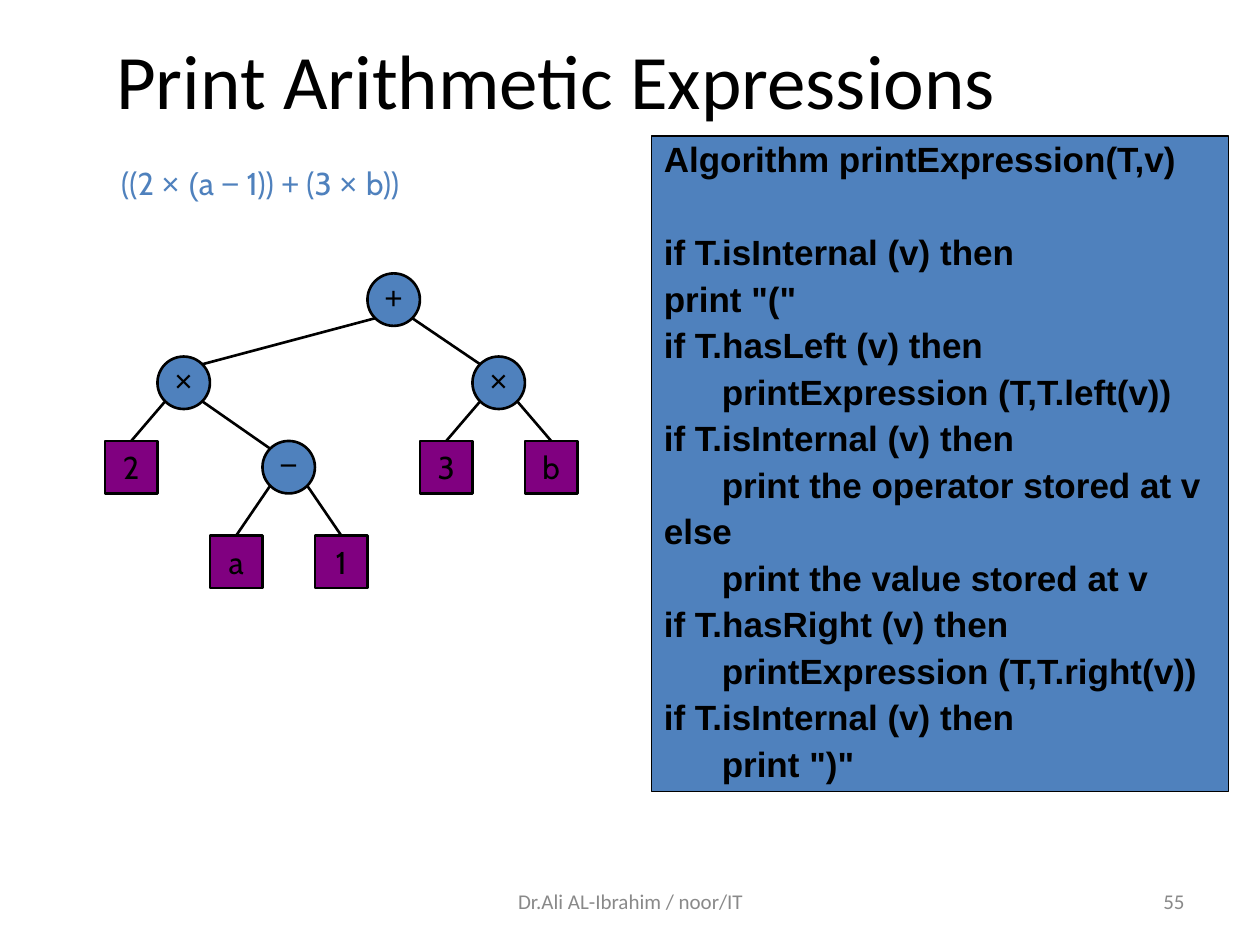
from math import sqrt

from lxml.etree import SubElement
from pptx import Presentation
from pptx.dml.color import RGBColor
from pptx.enum.shapes import MSO_CONNECTOR as Connector, MSO_SHAPE as Shape
from pptx.enum.text import MSO_ANCHOR as Anchor, PP_ALIGN as Align
from pptx.oxml.ns import qn
from pptx.util import Inches, Pt

COLORS = {"black": "000000", "blue": "4F81BD", "purple": "800080", "gray": "898989"}

NODE = 5 / 12  # node size, also the column width of the tree
ROW_TOPS = [2.17, 2.83, 3.5, 4.25]
# key: (symbol, column, row, parent key)
TREE = {
    "root": ("+", 7, 0, None),
    "right": ("×", 9, 1, "root"),
    "left": ("×", 3, 1, "root"),
    "minus": ("−", 5, 2, "left"),
    "two": ("2", 2, 2, "left"),
    "a": ("a", 4, 3, "minus"),
    "one": ("1", 6, 3, "minus"),
    "three": ("3", 8, 2, "right"),
    "b": ("b", 10, 2, "right"),
}
OPERATORS = "+×−"

FORMULA = ["((2 ", "× (", "a ", "−", " 1)) ", "+", " (3 ", "× ", "b))"]

# (indent level, text)
ALGORITHM = [
    (0, "Algorithm printExpression(T,v)"),
    (0, "if T.isInternal (v) then"),
    (0, 'print "("'),
    (0, "if T.hasLeft (v) then"),
    (1, "printExpression (T,T.left(v))"),
    (0, "if T.isInternal (v) then"),
    (1, "print the operator stored at v"),
    (0, "else"),
    (1, "print the value stored at v"),
    (0, "if T.hasRight (v) then"),
    (1, "printExpression (T,T.right(v))"),
    (0, "if T.isInternal (v) then"),
    (1, 'print ")"'),
]


def color(name):
    return RGBColor.from_string(COLORS[name])


def add_span(para, text, font="Calibri", size=18, ink="black", bold=False):
    span = para.add_run()
    span.text = text
    span.font.name = font
    span.font.size = Pt(size)
    span.font.bold = bold
    span.font.color.rgb = color(ink)


class TreePage:
    """Holds the line style and the slide being drawn."""

    line_width = 1.5

    def __init__(self, deck):
        self.page = deck.slides.add_slide(deck.slide_layouts[5])

    def title(self, text):
        box = self.page.shapes.title
        box.left, box.top, box.width, box.height = map(Inches, (0, 0, 8.83, 1.25))
        box.text_frame.vertical_anchor = Anchor.MIDDLE
        para = box.text_frame.paragraphs[0]
        para.alignment = Align.CENTER
        add_span(para, text, size=44)

    def text(self, spans, place, align=Align.CENTER, wrap=True, anchor=Anchor.MIDDLE):
        """Add a one-line text box from (text, format) pairs."""
        frame = self.page.shapes.add_textbox(*map(Inches, place)).text_frame
        frame.word_wrap = wrap
        frame.vertical_anchor = anchor
        para = frame.paragraphs[0]
        para.alignment = align
        for text, style in spans:
            add_span(para, text, **style)

    def shape(self, kind, place, fill, line_width):
        shape = self.page.shapes.add_shape(kind, *map(Inches, place))
        shape.shadow.inherit = False
        shape.fill.solid()
        shape.fill.fore_color.rgb = color(fill)
        shape.line.color.rgb = color("black")
        shape.line.width = Pt(line_width)
        return shape

    def node(self, symbol, left, top):
        is_operator = symbol in OPERATORS
        kind, fill, font = ((Shape.OVAL, "blue", "Arial") if is_operator
                            else (Shape.RECTANGLE, "purple", "Cabin"))
        shape = self.shape(kind, (left, top, NODE, NODE), fill, self.line_width)
        frame = shape.text_frame
        frame.word_wrap = False
        frame.vertical_anchor = Anchor.MIDDLE
        if is_operator:
            frame.margin_left = frame.margin_right = frame.margin_top = 0
        para = frame.paragraphs[0]
        para.alignment = Align.CENTER
        add_span(para, symbol, font=font)

    def edge(self, start, end):
        line = self.page.shapes.add_connector(
            Connector.STRAIGHT, *map(Inches, (*start, *end)))
        line.line.color.rgb = color("black")
        line.line.width = Pt(self.line_width)
        SubElement(line._element.spPr, qn("a:effectLst"))

    def tree(self, nodes):
        for symbol, column, row, _ in nodes.values():
            self.node(symbol, column * NODE, ROW_TOPS[row])
        half = NODE / 2
        rim = half / sqrt(2)  # offset of a circle's diagonal point
        for symbol, column, row, parent in nodes.values():
            if parent is None:
                continue
            _, parent_column, parent_row, _ = nodes[parent]
            side = 1 if column > parent_column else -1
            start = (parent_column * NODE + half + side * rim,
                     ROW_TOPS[parent_row] + half + rim)
            middle = column * NODE + half
            if symbol in OPERATORS:
                end = (middle - side * rim, ROW_TOPS[row] + half - rim)
            else:
                end = (middle, ROW_TOPS[row])
            self.edge(start, end)

    def code(self, lines, place):
        frame = self.shape(Shape.RECTANGLE, place, "blue", 0.75).text_frame
        frame.word_wrap = True
        frame.vertical_anchor = Anchor.TOP
        gaps = {0: 0, 1: 31.6}  # the heading stands apart from the steps
        for index, (level, text) in enumerate(lines):
            para = frame.add_paragraph() if index else frame.paragraphs[0]
            para.alignment = Align.LEFT
            para.line_spacing = 0.9
            para.space_before = Pt(gaps.get(index, 5))
            para._p.get_or_add_pPr().set("marL", str(Inches(0.46 * level)))
            add_span(para, text, font="Arial", size=20, bold=True)


def main():
    deck = Presentation()
    deck.slide_width, deck.slide_height = Inches(10), Inches(7.5)
    page = TreePage(deck)
    page.title("Print Arithmetic Expressions")
    page.code(ALGORITHM, (5.17, 1.08, 4.58, 5.2))
    page.tree(TREE)
    formula = [(part, {"font": ("Cabin", "Arial")[index % 2], "ink": "blue"})
               for index, part in enumerate(FORMULA)]
    page.text(formula, (0.67, 1.25, 2.79, 0.4), wrap=False, anchor=Anchor.TOP)
    small = {"size": 12, "ink": "gray"}
    page.text([("55", small)], (7.17, 6.95, 2.33, 0.4), align=Align.RIGHT)
    page.text([("Dr.Ali AL-Ibrahim / noor/IT", small)], (3.42, 6.95, 3.17, 0.4))
    deck.save("out.pptx")


if __name__ == "__main__":
    main()
